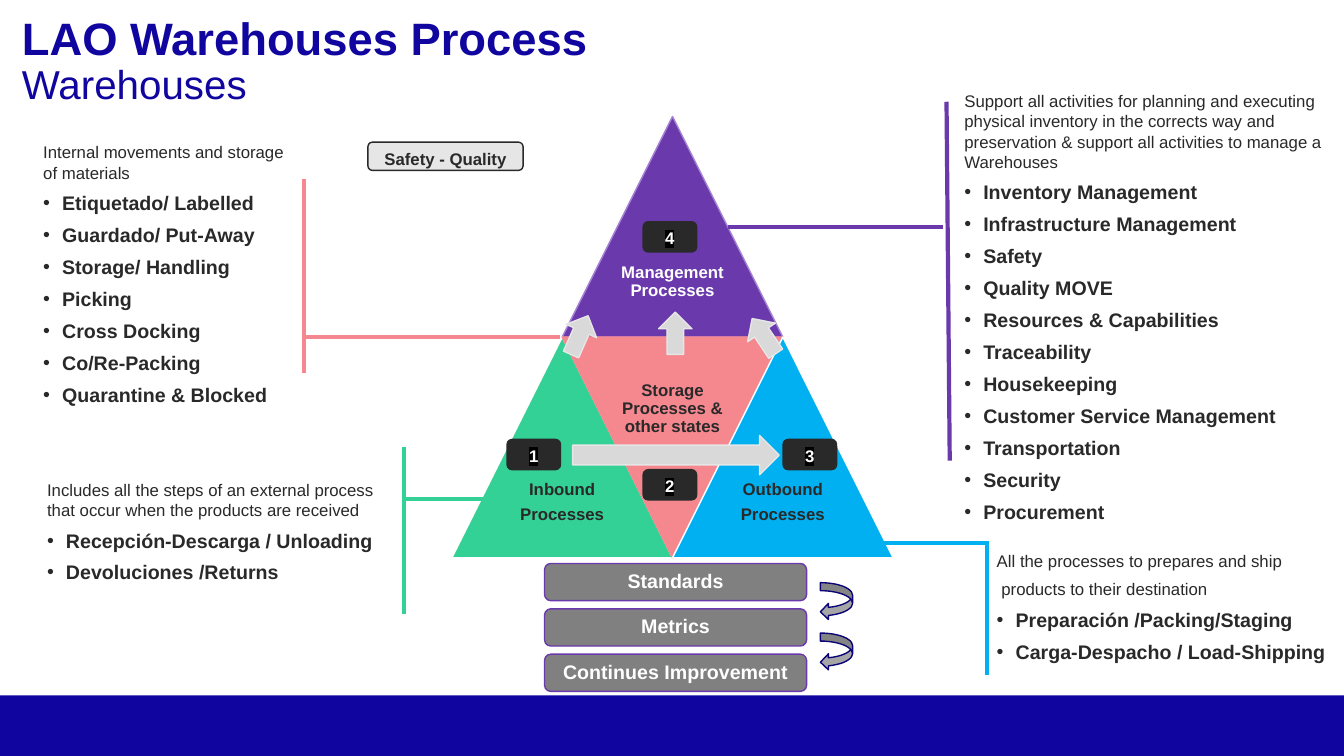
import pptx
import pptx.dml.color
import pptx.enum.shapes
import pptx.enum.text
import pptx.oxml.ns
import pptx.util
from lxml import etree

Pt = pptx.util.Pt
qn = pptx.oxml.ns.qn
MSO = pptx.enum.shapes.MSO_SHAPE
ANCHOR = pptx.enum.text.MSO_ANCHOR
ALIGN = pptx.enum.text.PP_ALIGN

COLORS = {
    "navy": "10069F", "dark_navy": "0C0476", "purple": "6A39AC",
    "lilac": "A582D5", "green": "33D196", "pink": "F5878F",
    "blue": "00B0F0", "ink": "292929", "white": "FFFFFF",
    "black": "000000", "bar": "808080", "loop": "A6A6A6",
    "arrow": "D9D9D9", "pale": "E7E6E6",
}
SIDE = 157.6            # width and height of each small triangle
PYRAMID_LEFT, PYRAMID_TOP = 322.8, 83.2
INDENT = 13.5

# colour, outline, column in half sides, row, rotation, label lines, label colour, label shift
TRIANGLES = [
    ("purple", "lilac", 1, 0, 0, ["Management Processes"], "white", 0),
    ("green", "white", 0, 1, 0, ["Inbound", "Processes"], "ink", 0),
    ("pink", "pink", 1, 1, 180, ["Storage Processes & other states"], "ink", -67),
    ("blue", "white", 2, 1, 0, ["Outbound", "Processes"], "ink", 0),
]
# box, introduction, bullets
LISTS = [
    ((681.8, 113.8, 277.2, 211),
     ["Support all activities for planning and executing physical inventory in the "
      "corrects way and preservation & support all activities to manage a Warehouses"],
     ["Inventory Management", "Infrastructure Management", "Safety", "Quality MOVE",
      "Resources & Capabilities", "Traceability", "Housekeeping",
      "Customer Service Management", "Transportation", "Security", "Procurement"]),
    ((23.8, 112.3, 197.3, 167),
     ["Internal movements and storage of materials"],
     ["Etiquetado/ Labelled", "Guardado/ Put-Away", "Storage/ Handling", "Picking",
      "Cross Docking", "Co/Re-Packing", "Quarantine & Blocked"]),
    ((26.6, 315.4, 252, 128.9),
     ["Includes all the steps of an external process that occur when the products "
      "are received"],
     ["Recepción-Descarga / Unloading", "Devoluciones /Returns"]),
    ((704.9, 378.7, 254.5, 109.4),
     ["All the processes to prepares and ship", " products to their destination"],
     ["Preparación /Packing/Staging", "Carga-Despacho / Load-Shipping"]),
]
BRACKETS = [
    ("pink", 217.4, 240.5, 400.3, 240.5),
    ("blue", 620.6, 388.1, 704.9, 388.1),
    ("green", 288.7, 356.4, 353.5, 356.4),
    ("purple", 519.8, 162, 673.9, 162),
    ("green", 288.7, 438.5, 288.7, 319),
    ("pink", 217.4, 266.4, 217.4, 128.2),
    ("blue", 704.9, 482.4, 704.9, 386.6),
    ("purple", 678.4, 329, 676.1, 72.7),
]
FLOW_ARROWS = [
    ((409, 311, 147.6, 28.1), 0),
    ((467.3, 226.1, 30.2, 23.8), 270),
    ((398.9, 227.5, 30.2, 23.8), 293.8),
    ((530.6, 228.2, 30.2, 23.8), 236.2),
]
BADGES = [("1", 362.2, 313.9), ("2", 459.4, 335.5), ("3", 559.4, 313.9), ("4", 459.4, 158.4)]


def rgb(name):
    return pptx.dml.color.RGBColor.from_string(COLORS[name])


def add_run(p, text, size, color, bold=False, highlight=None):
    r = p.add_run()
    r.text = text
    r.font.size, r.font.bold, r.font.name = Pt(size), bold, "Arial"
    r.font.color.rgb = rgb(color)
    if highlight:
        mark = etree.Element(qn("a:highlight"))
        etree.SubElement(mark, qn("a:srgbClr")).set("val", COLORS[highlight])
        r.font._element.find(qn("a:solidFill")).addnext(mark)


def add_paragraph(tf, first):
    return tf.paragraphs[0] if first else tf.add_paragraph()


def add_box(s, box):
    tf = s.shapes.add_textbox(*map(Pt, box)).text_frame
    tf.word_wrap = True
    return tf


def add_figure(s, kind, box, fill, line=None, rotation=0):
    sp = s.shapes.add_shape(kind, *map(Pt, box))
    sp.shadow.inherit = False
    sp.rotation = rotation
    sp.fill.solid()
    sp.fill.fore_color.rgb = rgb(fill)
    if line:
        sp.line.color.rgb = rgb(line)
        sp.line.width = Pt(1)
    else:
        sp.line.fill.background()
    return sp


def write_label(tf, lines, size, color):
    """Centre tight bold lines in a frame with hardly any margin."""
    tf.word_wrap = True
    tf.vertical_anchor = ANCHOR.MIDDLE
    tf.margin_left = tf.margin_right = tf.margin_top = tf.margin_bottom = Pt(0.7)
    for i, text in enumerate(lines):
        p = add_paragraph(tf, i == 0)
        p.alignment, p.line_spacing, p.space_after = ALIGN.CENTER, 0.9, Pt(4.5)
        add_run(p, text, size, color, True)


def add_tag(s, box, text, fill, color, highlight=None):
    tf = add_figure(s, MSO.ROUNDED_RECTANGLE, box, fill, "ink").text_frame
    tf.word_wrap = True
    tf.vertical_anchor = ANCHOR.TOP
    tf.paragraphs[0].alignment = ALIGN.CENTER
    add_run(tf.paragraphs[0], text, 12, color, True, highlight)


def add_triangle(s, fill, line, col, row, rotation, lines, color, shift):
    x, y = PYRAMID_LEFT + col * SIDE / 2, PYRAMID_TOP + row * SIDE
    add_figure(s, MSO.ISOSCELES_TRIANGLE, (x, y, SIDE, SIDE), fill, line, rotation)
    box = (x + SIDE / 4, y + SIDE / 2 + shift, SIDE / 2, SIDE / 2)
    write_label(add_box(s, box), lines, 12, color)


def add_list(s, box, intro, items):
    tf = add_box(s, box)
    tf.vertical_anchor = ANCHOR.MIDDLE
    for i, text in enumerate(intro + items):
        p = add_paragraph(tf, i == 0)
        p.space_before = Pt(6)
        bulleted = i >= len(intro)
        if bulleted:
            pPr = p._p.get_or_add_pPr()
            pPr.set("marL", str(Pt(INDENT)))
            pPr.set("indent", str(-Pt(INDENT)))
            etree.SubElement(pPr, qn("a:buFont")).set("typeface", "Arial")
            etree.SubElement(pPr, qn("a:buChar")).set("char", "•")
        add_run(p, text, 14 if bulleted else 12, "ink", bulleted)


def add_line(s, color, *ends):
    line = s.shapes.add_connector(pptx.enum.shapes.MSO_CONNECTOR.STRAIGHT, *map(Pt, ends))
    line.line.color.rgb = rgb(color)
    line.line.width = Pt(3)
    etree.SubElement(line._element.spPr, qn("a:effectLst"))


def add_title(s):
    p = add_box(s, (8.6, 7.9, 944, 72)).paragraphs[0]
    p.line_spacing = 0.9
    add_run(p, "LAO Warehouses Process", 32.4, "navy", True)
    p.add_line_break()
    add_run(p, "Warehouses", 28.8, "navy")


def main():
    prs = pptx.Presentation()
    prs.slide_width, prs.slide_height = Pt(960), Pt(540)
    s = prs.slides.add_slide(prs.slide_layouts[6])

    add_figure(s, MSO.RECTANGLE, (0, 496.8, 960, 43.2), "navy")
    add_title(s)
    for triangle in TRIANGLES:
        add_triangle(s, *triangle)
    for entry in LISTS:
        add_list(s, *entry)
    for i, text in enumerate(["Standards", "Metrics", "Continues Improvement"]):
        bar = add_figure(s, MSO.ROUNDED_RECTANGLE, (389, 402.5 + i * 32.4, 187.2, 26.6),
                         "bar", "purple")
        write_label(bar.text_frame, [text], 14, "white")
    for bracket in BRACKETS:
        add_line(s, *bracket)
    for box, rotation in FLOW_ARROWS:
        add_figure(s, MSO.RIGHT_ARROW, box, "arrow", "pale", rotation)
    for i in range(2):
        add_figure(s, MSO.CURVED_LEFT_ARROW, (586, 416.2 + i * 36, 23, 26.6),
                   "loop", "dark_navy")
    add_tag(s, (262.8, 101.5, 110.9, 20.2), "Safety - Quality", "pale", "ink")
    for number, x, y in BADGES:
        add_tag(s, (x, y, 38.2, 21.6), number, "ink", "white", "black")

    prs.save("out.pptx")


if __name__ == "__main__":
    main()
